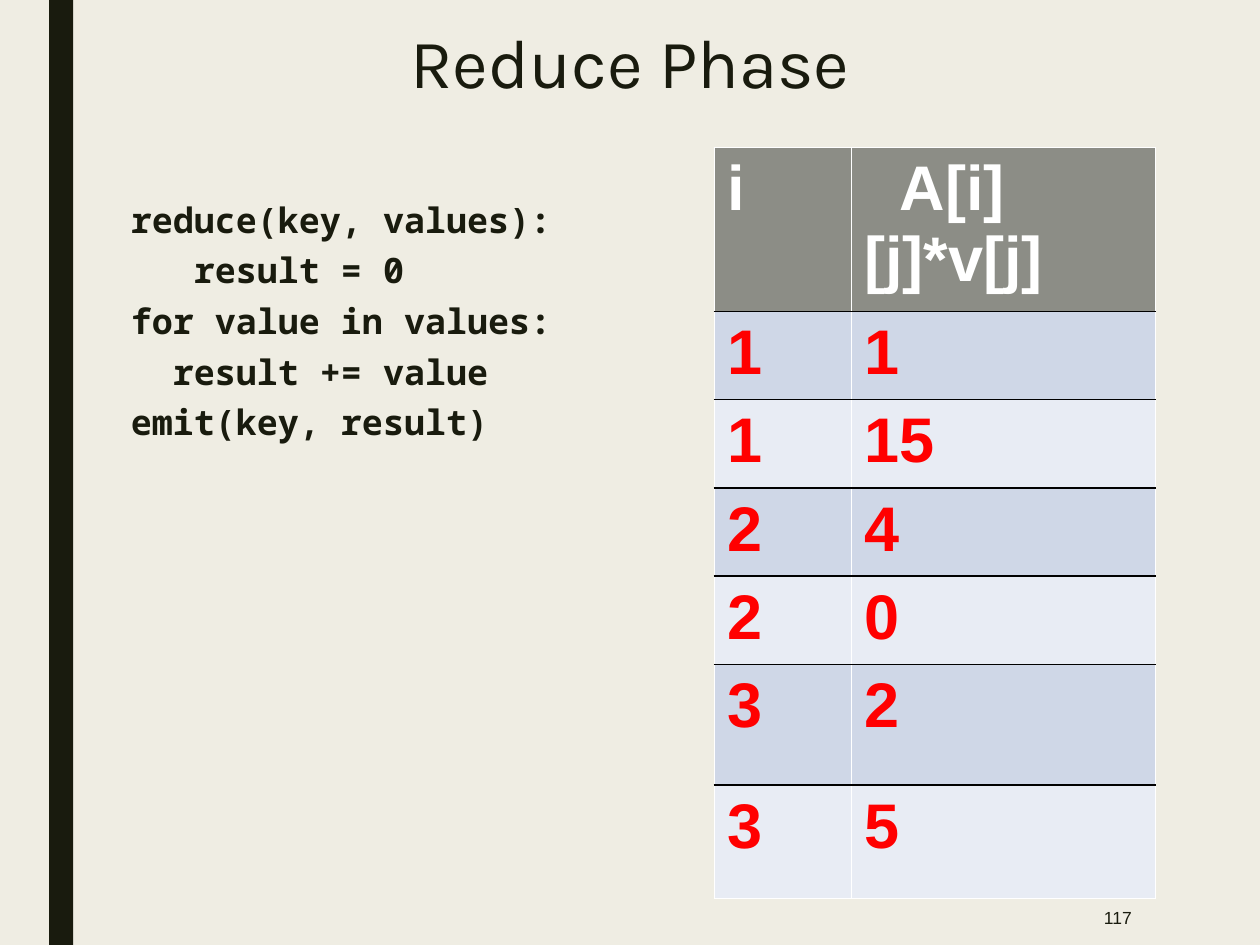
from dataclasses import dataclass

import pptx
import pptx.dml.color
import pptx.enum.shapes
import pptx.enum.text
import pptx.oxml
import pptx.oxml.ns
import pptx.util
from pptx.dml.color import RGBColor
from pptx.enum.text import MSO_ANCHOR, PP_ALIGN
from pptx.util import Inches, Pt

CREAM = RGBColor(0xEF, 0xED, 0xE3)
INK = RGBColor(0x19, 0x1B, 0x0E)
GREY = RGBColor(0x8C, 0x8D, 0x86)
BAND_DARK = RGBColor(0xCF, 0xD7, 0xE7)
BAND_LIGHT = RGBColor(0xE8, 0xEC, 0xF4)
RED = RGBColor(0xFF, 0x00, 0x00)
WHITE = RGBColor(0xFF, 0xFF, 0xFF)
BLACK = RGBColor(0x00, 0x00, 0x00)

CODE = [
    "reduce(key, values):",
    "   result = 0",
    "for value in values:",
    "  result += value",
    "emit(key, result)",
]


@dataclass
class Row:
    key: str
    value: str
    height: float


ROWS = [
    Row("i", "A[i][j]*v[j]", 0.89),
    Row("1", "1", 0.63),
    Row("1", "15", 0.63),
    Row("2", "4", 0.63),
    Row("2", "0", 0.63),
    Row("3", "2", 0.96),
    Row("3", "5", 0.9),
]
COL_WIDTHS = [1.09, 2.41]


def set_font(p, name: str, size: float, color: RGBColor, bold: bool = False) -> None:
    p.font.name = name
    p.font.size = Pt(size)
    p.font.bold = bold
    p.font.color.rgb = color


def place(sp, left: float, top: float, width: float, height: float) -> None:
    sp.left, sp.top = Inches(left), Inches(top)
    sp.width, sp.height = Inches(width), Inches(height)


def set_borders(cell, top: RGBColor, bottom: RGBColor) -> None:
    """White sides, with the given top and bottom lines."""
    tc_pr = cell._tc.get_or_add_tcPr()
    sides = [("lnL", WHITE), ("lnR", WHITE), ("lnT", top), ("lnB", bottom)]
    for i, (tag, color) in enumerate(sides):
        tc_pr.insert(i, pptx.oxml.parse_xml(
            f'<a:{tag} {pptx.oxml.ns.nsdecls("a")} w="{Pt(1)}"><a:solidFill>'
            f'<a:srgbClr val="{color}"/></a:solidFill></a:{tag}>'))


def add_table(s, left: float, top: float) -> None:
    tbl = s.shapes.add_table(
        len(ROWS), len(COL_WIDTHS), Inches(left), Inches(top),
        Inches(sum(COL_WIDTHS)), Inches(sum(row.height for row in ROWS))).table
    for col, width in zip(tbl.columns, COL_WIDTHS):
        col.width = Inches(width)
    for i, row in enumerate(ROWS):
        tbl.rows[i].height = Inches(row.height)
        header, last = i == 0, i == len(ROWS) - 1
        band = BAND_DARK if i % 2 else BAND_LIGHT
        for j, text in enumerate((row.key, row.value)):
            cell = tbl.cell(i, j)
            cell.fill.solid()
            cell.fill.fore_color.rgb = GREY if header else band
            set_borders(cell, WHITE if header else BLACK, WHITE if last else BLACK)
            p = cell.text_frame.paragraphs[0]
            p.text = text
            set_font(p, "Arial", 36, WHITE if header else RED, bold=True)
    # First-line indent of the product heading
    p = tbl.cell(0, 1).text_frame.paragraphs[0]
    p._p.get_or_add_pPr().set("indent", str(Inches(0.28)))


def main() -> None:
    prs = pptx.Presentation()
    prs.slide_width, prs.slide_height = Inches(10), Inches(7.5)
    s = prs.slides.add_slide(prs.slide_layouts[5])
    s.background.fill.solid()
    s.background.fill.fore_color.rgb = CREAM

    # Side bar
    bar = s.shapes.add_shape(pptx.enum.shapes.MSO_SHAPE.RECTANGLE,
                             Inches(0.39), 0, Inches(0.19), prs.slide_height)
    bar.shadow.inherit = False
    bar.fill.solid()
    bar.fill.fore_color.rgb = INK
    bar.line.fill.background()

    # Title
    title = s.shapes.title
    place(title, 0.5, 0.3, 9, 0.45)
    tf = title.text_frame
    tf.auto_size = pptx.enum.text.MSO_AUTO_SIZE.NONE
    tf.vertical_anchor = MSO_ANCHOR.MIDDLE
    p = tf.paragraphs[0]
    p.text = "Reduce Phase"
    p.alignment = PP_ALIGN.CENTER
    p.line_spacing = 0.89
    set_font(p, "Karla", 39.6, INK)

    # Reduce function
    tf = s.shapes.add_textbox(Inches(0.94), Inches(1.55),
                              Inches(5.33), Inches(5.95)).text_frame
    tf.word_wrap = True
    for i, line in enumerate(CODE):
        p = tf.add_paragraph() if i else tf.paragraphs[0]
        p.text = line
        p.line_spacing = 0.94
        if i:
            p.space_before = Pt(6.4)
        set_font(p, "Noto Sans Mono", 20, INK, bold=True)

    # Slide number
    tf = s.shapes.add_textbox(Inches(7.77), Inches(7.06),
                              Inches(1.31), Inches(0.44)).text_frame
    tf.word_wrap = True
    tf.vertical_anchor = MSO_ANCHOR.MIDDLE
    p = tf.paragraphs[0]
    p.text = "117"
    p.alignment = PP_ALIGN.RIGHT
    set_font(p, "Arial", 10, INK)

    # Intermediate products by row index
    add_table(s, 5.67, 1.17)

    prs.save("out.pptx")


if __name__ == "__main__":
    main()
